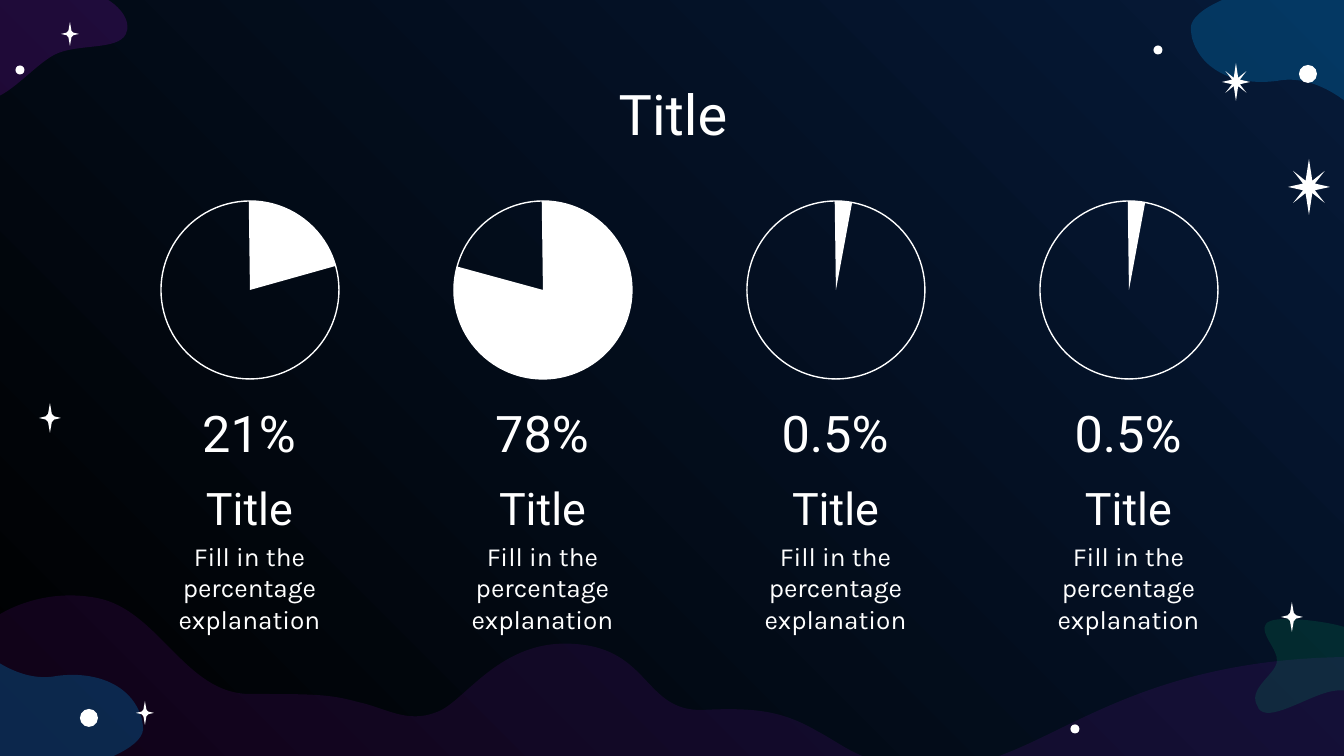
from typing import NamedTuple

import pptx
import pptx.dml.color
import pptx.enum.shapes
import pptx.enum.text
import pptx.oxml
import pptx.oxml.ns
import pptx.util

EMU_PER_PX = 9144000 / 1344
WHITE = "FFFFFF"
Point = tuple[float, float]


class Blob(NamedTuple):
    color: str
    opacity: int  # percent
    start: tuple[int, int]
    segments: tuple[tuple[int, ...], ...]  # 6 numbers: Bezier curve, 2: line


class Star(NamedTuple):
    x: int
    y: int
    half_width: int
    half_height: int
    quadrant: tuple[Point, ...]


class Dot(NamedTuple):
    x: int
    y: int
    diameter: int


class Column(NamedTuple):
    percent: str
    pie_end: float  # degrees


class TextStyle(NamedTuple):
    left: int
    top: int
    width: int
    height: int
    size: int
    font: str


# Upper right quarter of each star, from top tip to right tip, in half sizes
FOUR_POINTS = ((0, -1), (0.17, -0.27), (0.38, -0.11), (1, 0))
EIGHT_POINTS = ((0, -1), (0.16, -0.22), (0.75, -0.57), (0.28, -0.12), (1, 0))

CORNER = Blob("0088D3", 28, (1192, 38), (
    (1202, 73, 1239, 86, 1277, 81), (1316, 73, 1351, 106, 1351, 106),
    (1351, 106, 1353, -27, 1352, -30), (1352, -34, 1184, -8, 1191, 31),
    (1191, 34, 1191, 35, 1192, 38)))
CLOUD = Blob("740FA3", 26, (-16, 98), (
    (2, 105, 32, 67, 54, 55), (77, 43, 118, 51, 126, 34),
    (132, 22, 121, 3, 94, -7), (77, -13, 51, -17, 20, -12),
    (20, -12, -32, -7, -36, 5), (-42, 17, -17, 28, -15, 42),
    (-12, 56, -38, 81, -20, 95), (-19, 97, -17, 98, -16, 98)))
WAVE = Blob("740FA3", 15, (1356, 657), (
    (1117, 657, 1044, 763, 948, 767), (866, 770, 851, 749, 817, 731),
    (784, 712, 758, 707, 702, 710), (644, 711, 650, 649, 575, 644),
    (500, 638, 465, 702, 437, 712), (407, 724, 386, 708, 358, 702),
    (329, 694, 313, 694, 250, 694), (185, 694, 159, 610, 97, 598),
    (34, 586, -9, 620, -9, 620), (-9, 785), (1353, 785)))
GREEN = Blob("00C970", 14, (1261, 711), (
    (1274, 720, 1310, 695, 1333, 691), (1356, 687, 1391, 703, 1402, 691),
    (1410, 681, 1407, 663, 1384, 646), (1371, 636, 1349, 626, 1321, 622),
    (1321, 622, 1273, 614, 1266, 624), (1259, 633, 1278, 649, 1277, 661),
    (1276, 675, 1246, 689, 1258, 707), (1258, 708, 1259, 710, 1261, 711)))

STARS = (Star(50, 418, 11, 15, FOUR_POINTS), Star(1292, 617, 11, 15, FOUR_POINTS),
         Star(70, 34, 9, 12, FOUR_POINTS), Star(145, 713, 9, 12, FOUR_POINTS),
         Star(1309, 187, 21, 28, EIGHT_POINTS), Star(1236, 82, 14, 19, EIGHT_POINTS))
DOTS = (Dot(89, 718, 18), Dot(1308, 74, 18), Dot(1075, 729, 9),
        Dot(1158, 50, 9), Dot(20, 70, 9))

COLUMNS = (Column("21%", 344.36), Column("78%", 195.28),
           Column("0.5%", 280.49), Column("0.5%", 280.49))
PITCH = 293
PIE_LEFT, PIE_TOP, PIE_SIZE, PIE_START = 161, 201, 178, 269.23

# Places in the first column
PERCENT = TextStyle(110, 389, 278, 74, 27, "Roboto")
HEADING = TextStyle(87, 467, 325, 64, 24, "Roboto")
CAPTION = TextStyle(129, 527, 241, 86, 14, "Karla")
TITLE = TextStyle(109, 66, 1128, 85, 30, "Roboto")


def px(length: float) -> pptx.util.Emu:
    return pptx.util.Emu(round(length * EMU_PER_PX))


def rgb(color: str) -> pptx.dml.color.RGBColor:
    return pptx.dml.color.RGBColor.from_string(color)


def paint(shape, color: str, opacity: int = 100) -> None:
    shape.shadow.inherit = False
    shape.fill.solid()
    shape.fill.fore_color.rgb = rgb(color)
    shape.line.fill.background()
    if opacity < 100:
        tag = pptx.oxml.ns.qn("a:srgbClr")
        fill_color = next(shape.element.iter(tag))
        alpha = pptx.oxml.parse_xml(
            f'<a:alpha {pptx.oxml.ns.nsdecls("a")} val="{opacity * 1000}"/>')
        fill_color.append(alpha)


def draw_outline(shapes, points: list[Point]):
    corners = [(px(x), px(y)) for x, y in points]
    builder = shapes.build_freeform(*corners[0])
    builder.add_line_segments(corners[1:], close=True)
    return builder.convert_to_shape()


def turned(blob: Blob) -> Blob:
    """The blob turned by half a circle, into the opposite corner."""
    def flip(numbers: tuple[int, ...]) -> tuple[int, ...]:
        return tuple((757 if i % 2 else 1334) - n for i, n in enumerate(numbers))
    return blob._replace(start=flip(blob.start),
                         segments=tuple(flip(part) for part in blob.segments))


def draw_blob(shapes, blob: Blob) -> None:
    points: list[Point] = [blob.start]
    for segment in blob.segments:
        points += zip(segment[0::2], segment[1::2])
    shape = draw_outline(shapes, points)
    # Join each three line segments of a curve into one Bezier segment
    lines = iter(list(shape.element.iter(pptx.oxml.ns.qn("a:lnTo"))))
    for segment in blob.segments:
        curve = next(lines)
        if len(segment) == 6:
            curve.tag = pptx.oxml.ns.qn("a:cubicBezTo")
            for line in (next(lines), next(lines)):
                curve.append(line[0])
                line.getparent().remove(line)
    paint(shape, blob.color, blob.opacity)


def draw_star(shapes, star: Star) -> None:
    points: list[Point] = []
    for flip_x, flip_y in ((1, 1), (1, -1), (-1, -1), (-1, 1)):
        quarter = star.quadrant if flip_x == flip_y else star.quadrant[::-1]
        points += [(star.x + flip_x * x * star.half_width,
                    star.y + flip_y * y * star.half_height) for x, y in quarter[:-1]]
    paint(draw_outline(shapes, points), WHITE)


def draw_round(shapes, kind, x: float, y: float, diameter: int):
    shape = shapes.add_shape(kind, px(x), px(y), px(diameter), px(diameter))
    paint(shape, WHITE)
    return shape


def write(box, text: str, style: TextStyle, offset: int = 0) -> None:
    box.left, box.top = px(style.left + offset), px(style.top)
    box.width, box.height = px(style.width), px(style.height)
    frame = box.text_frame
    frame.word_wrap = True
    frame.auto_size = pptx.enum.text.MSO_AUTO_SIZE.NONE
    frame.vertical_anchor = pptx.enum.text.MSO_ANCHOR.TOP
    frame.margin_left = frame.margin_right = pptx.util.Inches(0.1)
    frame.margin_top = frame.margin_bottom = pptx.util.Inches(0.1)
    paragraph = frame.paragraphs[0]
    paragraph.text = text
    paragraph.alignment = pptx.enum.text.PP_ALIGN.CENTER
    paragraph.font.size = pptx.util.Pt(style.size)
    paragraph.font.name = style.font
    paragraph.font.color.rgb = rgb(WHITE)


def draw_column(shapes, column: Column, offset: int) -> None:
    kinds = pptx.enum.shapes.MSO_SHAPE
    left = PIE_LEFT + offset
    group = shapes.add_group_shape()
    ring = draw_round(group.shapes, kinds.OVAL, left, PIE_TOP, PIE_SIZE)
    ring.fill.background()
    ring.line.color.rgb = rgb(WHITE)
    ring.line.width = pptx.util.Pt(0.75)
    pie = draw_round(group.shapes, kinds.PIE, left, PIE_TOP, PIE_SIZE)
    # Adjustments count 60000 units a degree, in parts of 100000
    pie.adjustments[0] = PIE_START * 0.6
    pie.adjustments[1] = column.pie_end * 0.6
    for text, style in ((column.percent, PERCENT), ("Title", HEADING),
                        ("Fill in the percentage explanation", CAPTION)):
        write(shapes.add_textbox(0, 0, 0, 0), text, style, offset)


def main() -> None:
    deck = pptx.Presentation()
    deck.slide_width, deck.slide_height = px(1344), px(756)
    page = deck.slides.add_slide(deck.slide_layouts[5])

    # Night sky
    sky = page.background.fill
    sky.gradient()
    sky.gradient_angle = 45
    for stop, color in zip(sky.gradient_stops, ("000000", "061A38")):
        stop.color.rgb = rgb(color)
    for blob in (CORNER, CLOUD, WAVE, turned(CORNER), GREEN):
        draw_blob(page.shapes, blob)
    for star in STARS:
        draw_star(page.shapes, star)
    for dot in DOTS:
        draw_round(page.shapes, pptx.enum.shapes.MSO_SHAPE.OVAL,
                   dot.x - dot.diameter / 2, dot.y - dot.diameter / 2, dot.diameter)

    # Title and percentage columns
    write(page.shapes.title, "Title", TITLE)
    for index, column in enumerate(COLUMNS):
        draw_column(page.shapes, column, index * PITCH)

    deck.save("out.pptx")


if __name__ == "__main__":
    main()
